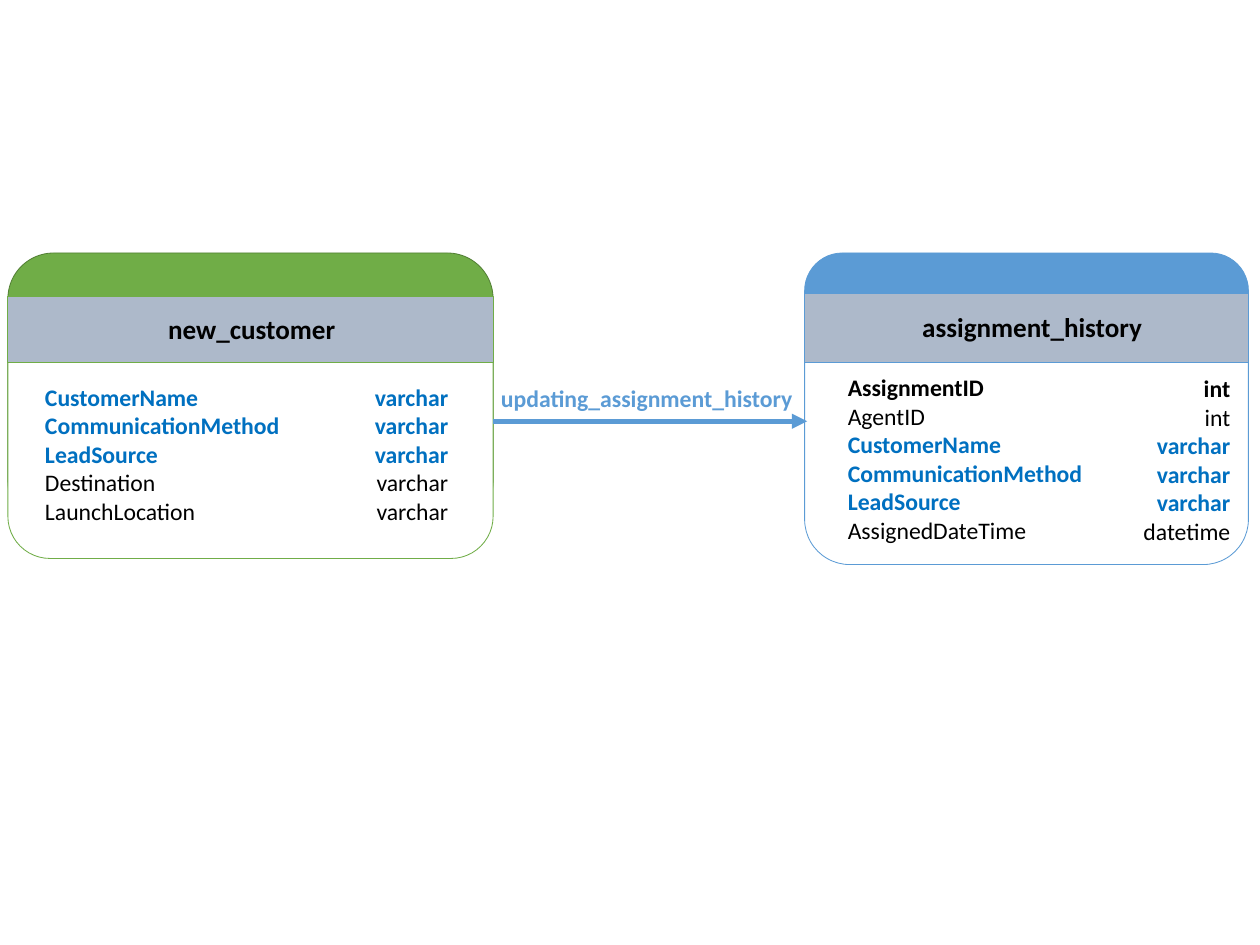
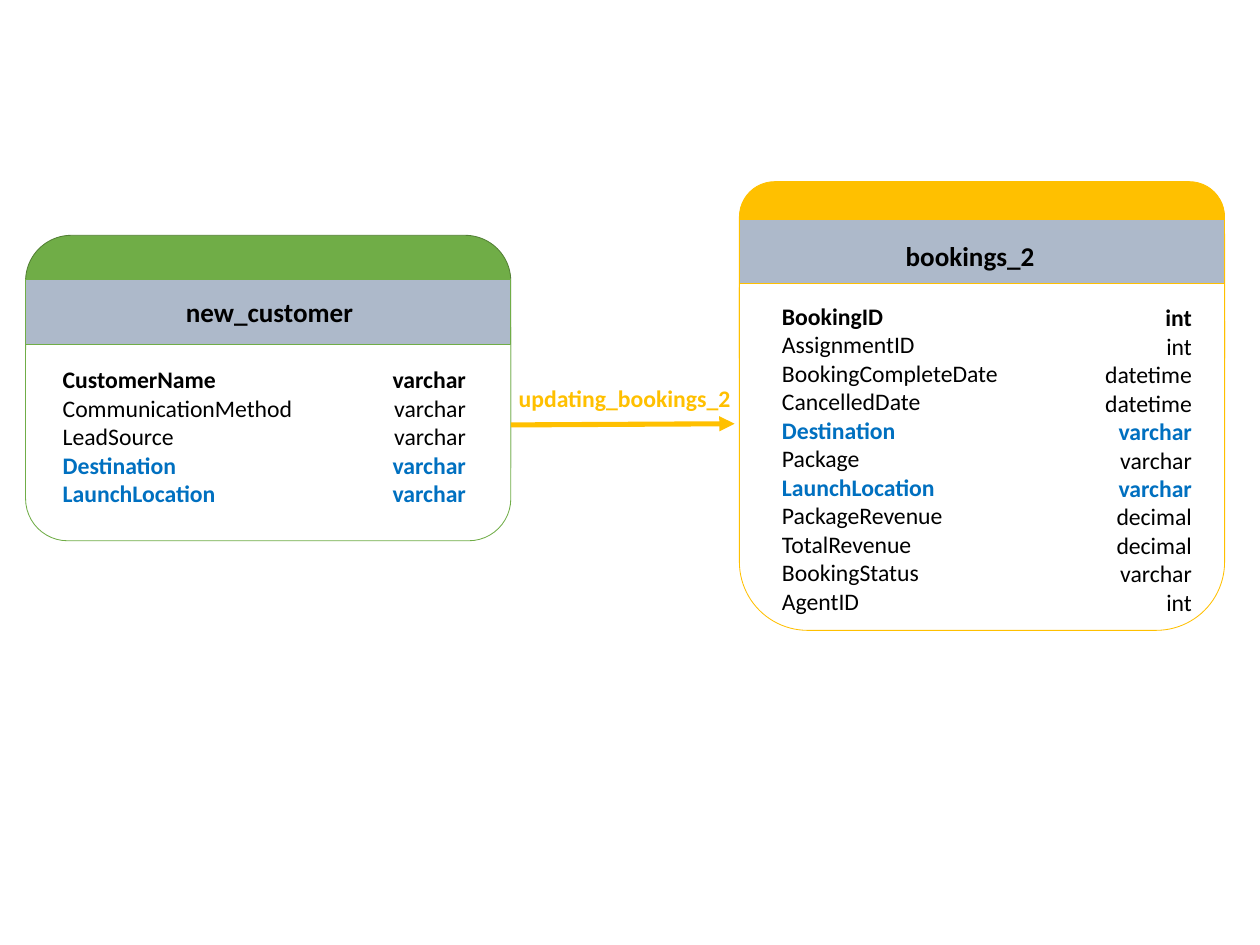
from lxml.etree import SubElement
from pptx import Presentation
from pptx.dml.color import RGBColor
from pptx.enum.shapes import MSO_CONNECTOR, MSO_SHAPE
from pptx.enum.text import PP_ALIGN
from pptx.oxml.ns import qn
from pptx.util import Inches, Pt

# Shared style
FONT = "Calibri"
GREEN, GREEN_EDGE = "70AD47", "538035"
BLUE, AMBER = "5B9BD5", "FFC000"
WHITE, BLACK, BAND, LINKED = "FFFFFF", "000000", "ADB9CA", "0070C0"
TITLE_SIZE, TEXT_SIZE = 32, 28


def color(hex_value):
    return RGBColor.from_string(hex_value)


class SchemaDeck:
    """Draws database tables and the updates that run between them."""

    def __init__(self):
        self.deck = Presentation()
        self.deck.slide_width = Inches(20.67)
        self.deck.slide_height = Inches(15.5)
        self.slide = None

    def new_slide(self):
        self.slide = self.deck.slides.add_slide(self.deck.slide_layouts[6])

    def box(self, parent, preset, left, top, width, height, fill, edge):
        shape = parent.add_shape(preset, Inches(left), Inches(top),
                                 Inches(width), Inches(height))
        shape.shadow.inherit = False
        shape.fill.solid()
        shape.fill.fore_color.rgb = color(fill)
        shape.line.color.rgb = color(edge)
        shape.line.width = Pt(1)

    def text(self, parent, left, top, width, lines, size=TEXT_SIZE,
             align=PP_ALIGN.LEFT):
        """Each line is (words, colour, bold)."""
        height = 0.1 + len(lines) * size / 60
        frame = parent.add_textbox(Inches(left), Inches(top), Inches(width),
                                   Inches(height)).text_frame
        frame.word_wrap = True
        for index, (words, tint, bold) in enumerate(lines):
            paragraph = frame.paragraphs[0] if index == 0 else frame.add_paragraph()
            paragraph.alignment = align
            run = paragraph.add_run()
            run.text = words
            run.font.name = FONT
            run.font.size = Pt(size)
            run.font.bold = bold
            run.font.color.rgb = color(tint)

    def schema_table(self, name, fields, left, width, cap, body, band, accent,
                     title_at, names_at, types_top, types_right,
                     key=None, linked=(), cap_edge=None):
        """cap, body and band are (top, height) pairs."""
        group = self.slide.shapes.add_group_shape().shapes
        rounded, square = MSO_SHAPE.ROUNDED_RECTANGLE, MSO_SHAPE.RECTANGLE
        for preset, (top, height), fill, edge in (
                (rounded, cap, accent, cap_edge or accent),
                (rounded, body, WHITE, accent),
                (square, band, BAND, accent)):
            self.box(group, preset, left, top, width, height, fill, edge)
        self.text(group, *title_at, 4, [(name, BLACK, True)], TITLE_SIZE)

        # Field names on the left, their types on the right
        styles = [(LINKED if field in linked else BLACK,
                   field in linked or field == key) for field, _ in fields]
        names = [(field, *style) for (field, _), style in zip(fields, styles)]
        types = [(kind, *style) for (_, kind), style in zip(fields, styles)]
        types_width = 2.05
        self.text(group, *names_at, 5, names)
        self.text(group, types_right - types_width, types_top, types_width,
                  types, align=PP_ALIGN.RIGHT)

    def new_customer(self, left, top, key=None, linked=()):
        """The source table, which both slides show."""
        fields = [(field, "varchar") for field in (
            "CustomerName", "CommunicationMethod", "LeadSource",
            "Destination", "LaunchLocation")]
        self.schema_table(
            "new_customer", fields, left, 7.96,
            cap=(top, 4.5), body=(top + 0.87, 4.14), band=(top + 0.72, 1.07),
            accent=GREEN, cap_edge=GREEN_EDGE,
            title_at=(left + 2.53, top + 0.93),
            names_at=(left + 0.51, top + 2.08),
            types_top=top + 2.08, types_right=left + 7.32,
            key=key, linked=linked)

    def update_arrow(self, label, label_at, width, start, end, accent):
        self.text(self.slide.shapes, *label_at, width, [(label, accent, True)])
        arrow = self.slide.shapes.add_connector(
            MSO_CONNECTOR.STRAIGHT, *(Inches(n) for n in (*start, *end)))
        arrow.line.color.rgb = color(accent)
        arrow.line.width = Pt(6)
        SubElement(arrow.line._get_or_add_ln(), qn("a:tailEnd"), type="triangle")
        SubElement(arrow._element.spPr, qn("a:effectLst"))


def assignment_slide(schema):
    linked = ("CustomerName", "CommunicationMethod", "LeadSource")
    schema.new_slide()
    schema.schema_table(
        "assignment_history",
        [("AssignmentID", "int"), ("AgentID", "int"),
         *((field, "varchar") for field in linked),
         ("AssignedDateTime", "datetime")],
        left=13.2, width=7.28,
        cap=(4.15, 3.71), body=(4.82, 4.44), band=(4.82, 1.12), accent=BLUE,
        title_at=(15.03, 5.05), names_at=(13.81, 6.07),
        types_top=6.09, types_right=20.28,
        key="AssignmentID", linked=linked)
    schema.new_customer(0.13, 4.15, linked=linked)
    schema.update_arrow("updating_assignment_history", (8.12, 6.24), 5.13,
                        (8.09, 6.91), (13.24, 6.91), BLUE)


def bookings_slide(schema):
    linked = ("Destination", "LaunchLocation")
    schema.new_slide()
    schema.schema_table(
        "bookings_2",
        [("BookingID", "int"), ("AssignmentID", "int"),
         ("BookingCompleteDate", "datetime"), ("CancelledDate", "datetime"),
         ("Destination", "varchar"), ("Package", "varchar"),
         ("LaunchLocation", "varchar"), ("PackageRevenue", "decimal"),
         ("TotalRevenue", "decimal"), ("BookingStatus", "varchar"),
         ("AgentID", "int")],
        left=12.13, width=7.96,
        cap=(2.98, 3.47), body=(3.61, 6.73), band=(3.6, 1.05), accent=AMBER,
        title_at=(14.76, 3.87), names_at=(12.73, 4.9),
        types_top=4.92, types_right=19.65,
        key="BookingID", linked=linked)
    schema.new_customer(0.42, 3.86, key="CustomerName", linked=linked)
    schema.update_arrow("updating_bookings_2", (8.41, 6.25), 3.75,
                        (8.38, 6.97), (12.05, 6.95), AMBER)


def main():
    schema = SchemaDeck()
    assignment_slide(schema)
    bookings_slide(schema)
    schema.deck.save("out.pptx")


if __name__ == "__main__":
    main()
